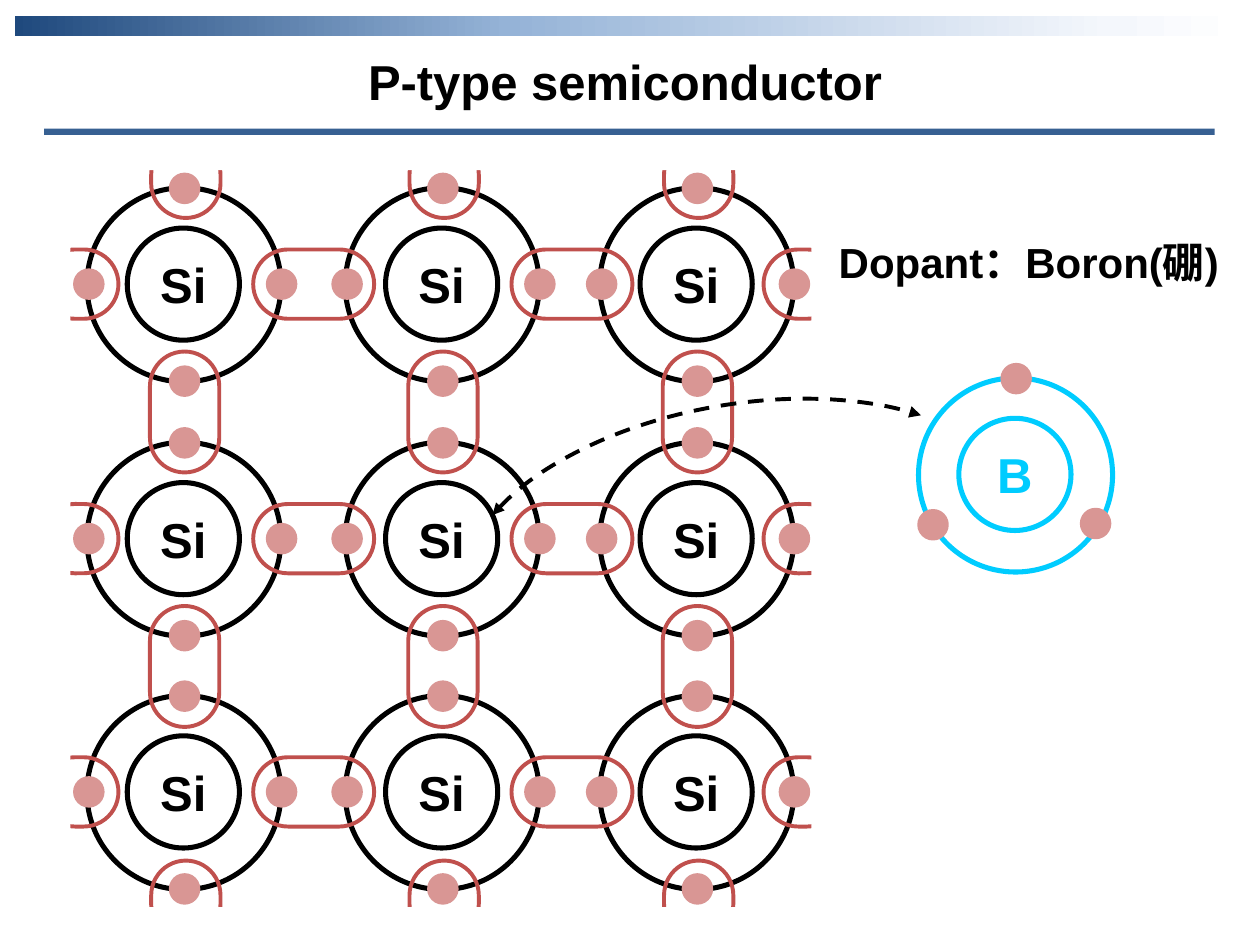
from copy import deepcopy
from pptx import Presentation
from pptx.dml.color import RGBColor
from pptx.enum import dml, shapes, text
from pptx.oxml.ns import qn
from pptx.util import Inches, Pt

KIND = shapes.MSO_SHAPE
BLACK, WHITE, CYAN = "000000", "FFFFFF", "00CCFF"
PINK, RED, BLUE = "D99694", "C0504D", "376092"
COLS = (0.69, 2.74, 4.76)
ROWS = (1.49, 3.51, 5.52)
RING, CORE, DOT, BOND, END = 1.54, 0.89, 0.21, 0.55, 0.62
SIDES = ((0.67, -0.1), (-0.09, 0.66), (0.67, 1.43), (1.44, 0.66))
THREE = ((1.3, 1.05), (0.67, -0.1), (0.01, 1.06))


def tint(code):
    return RGBColor.from_string(code)


def draw(slide, kind, box, fill=None, line=None, width=2.88):
    shape = slide.shapes.add_shape(kind, *map(Inches, box))
    shape.shadow.inherit = False
    if fill:
        shape.fill.solid()
        shape.fill.fore_color.rgb = tint(fill)
    else:
        shape.fill.background()
    if line:
        shape.line.color.rgb = tint(line)
        shape.line.width = Pt(width)
    else:
        shape.line.fill.background()
    return shape


def write(frame, words, size, color):
    para = frame.paragraphs[0]
    para.alignment = text.PP_ALIGN.CENTER
    run = para.add_run()
    run.text = words
    run.font.name = "Arial"
    run.font.size = Pt(size)
    run.font.bold = True
    run.font.color.rgb = tint(color)


def label(slide, box, words, size):
    frame = slide.shapes.add_textbox(*map(Inches, box)).text_frame
    frame.word_wrap = True
    frame.auto_size = text.MSO_AUTO_SIZE.SHAPE_TO_FIT_TEXT
    write(frame, words, size, BLACK)


def atom(slide, left, top, name, color, dots):
    draw(slide, KIND.OVAL, (left, top, RING, RING), line=color)
    core = draw(slide, KIND.OVAL, (left + 0.32, top + 0.32, CORE, CORE), line=color)
    core.text_frame.word_wrap = False
    core.text_frame.vertical_anchor = text.MSO_ANCHOR.MIDDLE
    write(core.text_frame, name, 28, color)
    for x, y in dots:
        draw(slide, KIND.OVAL, (left + x, top + y, DOT, DOT), PINK, PINK)


def bond(slide, box):
    shape = draw(slide, KIND.ROUNDED_RECTANGLE, box, line=RED, width=2.25)
    shape.adjustments[0] = 0.5


def stub(slide, box, mask):
    bond(slide, box)
    draw(slide, KIND.RECTANGLE, mask, WHITE)


def lattice(slide):
    for y in ROWS:
        for x in COLS:
            atom(slide, x, y, "Si", BLACK, SIDES)
    for y in ROWS:
        for x in COLS[:-1]:
            bond(slide, (x + 1.32, y + 0.49, 0.96, BOND))
    for y in ROWS[:-1]:
        for x in COLS:
            bond(slide, (x + 0.5, y + 1.3, BOND, 0.96))
    for y in ROWS:
        for x, edge in ((0.32, 0.01), (6.06, 6.44)):
            stub(slide, (x, y + 0.49, END, BOND), (edge, y + 0.45, 0.55, 0.64))
    for x in COLS:
        for y, edge, tall in ((1.11, 0.8, 0.55), (6.83, 7.2, 0.3)):
            stub(slide, (x + 0.51, y, BOND, END), (x + 0.47, edge, 0.64, tall))


def header(slide):
    label(slide, (0.67, 0.36, 8.58, 0.57), "P-type semiconductor", 28)
    fill = draw(slide, KIND.RECTANGLE, (0.12, 0.13, 9.76, 0.16)).fill
    fill.gradient()
    fill.gradient_angle = 0
    first = fill.gradient_stops[0]._gs
    for _ in range(2):
        first.addnext(deepcopy(first))
    hues = ((0, "1F497D"), (0.4, "95B3D7"), (0.89, "F4F7FC"), (1, WHITE))
    for stop, (place, hue) in zip(fill.gradient_stops, hues):
        stop.position = place
        stop.color.rgb = tint(hue)
    draw(slide, KIND.RECTANGLE, (0.35, 1.02, 9.29, 0.05), BLUE)


def dopant(slide):
    atom(slide, 7.29, 3, "B", CYAN, THREE)
    arc = draw(slide, KIND.ARC, (3.63, 3.21, 4.5, 2.37), line=BLACK, width=2.25)
    arc.rotation = 350
    arc.adjustments[0] = 119.31
    arc.adjustments[1] = 199.49
    arc.line.dash_style = dml.MSO_LINE.DASH
    line = arc.line._get_or_add_ln()
    for end in ("a:headEnd", "a:tailEnd"):
        tip = line.makeelement(qn(end), {"type": "triangle"})
        line.append(tip)
    label(slide, (6.52, 1.83, 3.29, 0.5), "Dopant：Boron(硼) ", 24)


def main():
    deck = Presentation()
    deck.slide_width, deck.slide_height = Inches(10), Inches(7.5)
    slide = deck.slides.add_slide(deck.slide_layouts[6])
    lattice(slide)
    header(slide)
    dopant(slide)
    deck.save("out.pptx")


if __name__ == "__main__":
    main()
